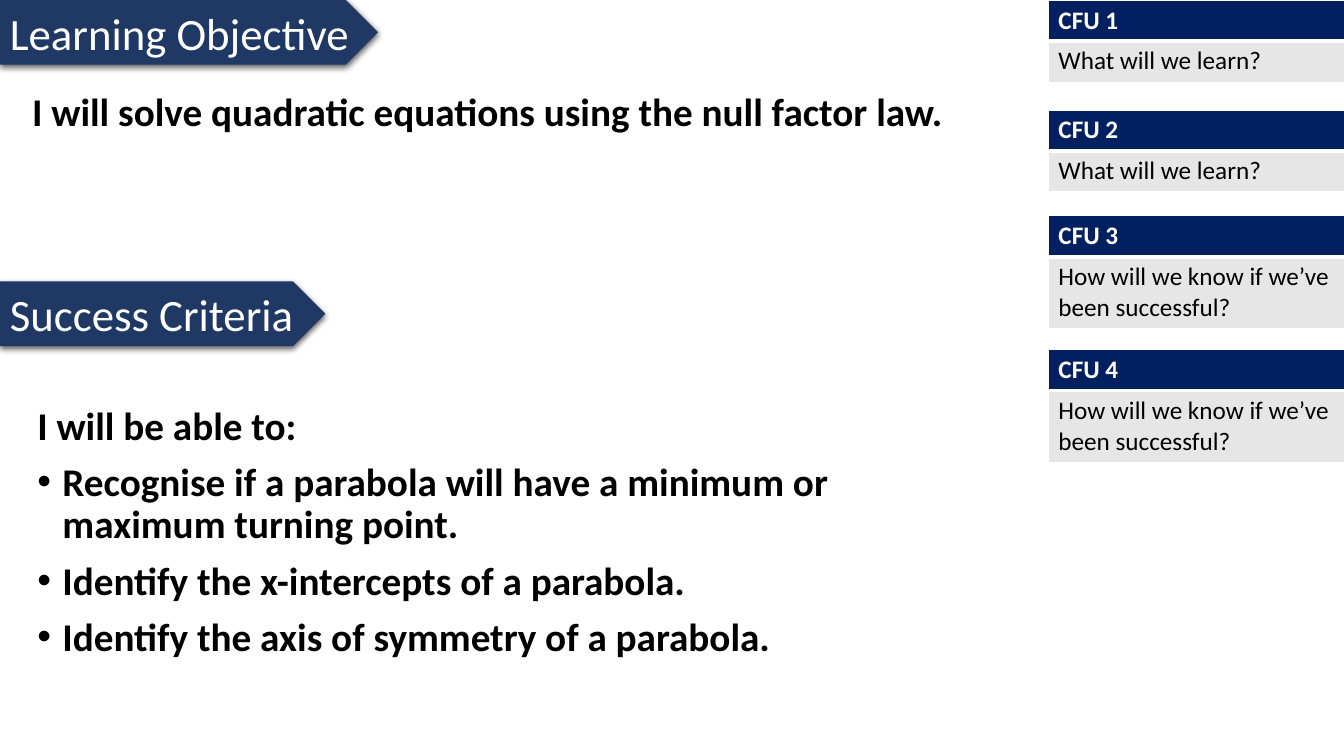
"""Build a lesson slide with its objective, success criteria and CFU questions."""
from dataclasses import dataclass

from lxml import etree
from pptx import Presentation
from pptx import util as u
from pptx.dml.color import RGBColor
from pptx.enum import shapes, text
from pptx.oxml import parse_xml
from pptx.oxml.ns import nsdecls, qn


@dataclass(frozen=True)
class Theme:
    font: str = "Calibri"
    banner: str = "203864"
    header: str = "002060"
    panel: str = "E7E6E6"
    light: str = "FFFFFF"
    dark: str = "000000"
    title_pt: int = 32
    body_pt: int = 28
    cell_pt: int = 18
    thin_pt: int = 1
    thick_pt: int = 3


def write(p, words, *, theme, size, color, bold=False):
    r = p.add_run()
    r.text = words
    r.font.name = theme.font
    r.font.size = u.Pt(size)
    r.font.bold = bold
    r.font.color.rgb = RGBColor.from_string(color)


class LessonSlide:
    def __init__(self, prs, theme):
        self.theme = theme
        self.s = prs.slides.add_slide(prs.slide_layouts[6])

    def banner(self, words, top, width):
        t = self.theme
        sp = self.s.shapes.add_shape(
            shapes.MSO_SHAPE.PENTAGON, 0, u.Cm(top), u.Cm(width), u.Cm(1.63))
        sp.fill.solid()
        sp.fill.fore_color.rgb = RGBColor.from_string(t.banner)
        sp.line.fill.background()
        self.add_shadow(sp)
        tf = sp.text_frame
        tf.word_wrap = True
        tf.vertical_anchor = text.MSO_ANCHOR.MIDDLE
        p = tf.paragraphs[0]
        p.alignment = text.PP_ALIGN.LEFT
        write(p, words, theme=t, size=t.title_pt, color=t.light)

    def add_shadow(self, sp):
        sp.shadow.inherit = False
        effects = sp._element.spPr.find(qn("a:effectLst"))
        effects.append(parse_xml(
            f'<a:outerShdw {nsdecls("a")} blurRad="{u.Pt(4.5)}" dist="{u.Pt(1.5)}" '
            f'dir="5400000" rotWithShape="0"><a:srgbClr val="{self.theme.dark}">'
            '<a:alpha val="63000"/></a:srgbClr></a:outerShdw>'))

    def body(self, intro, bullets, left, top, width, height):
        t = self.theme
        box = self.s.shapes.add_textbox(*map(u.Cm, (left, top, width, height)))
        tf = box.text_frame
        tf.word_wrap = True
        for i, words in enumerate([intro, *bullets]):
            p = tf.add_paragraph() if i else tf.paragraphs[0]
            if i:
                pPr = p._p.get_or_add_pPr()
                pPr.set("marL", str(u.Cm(0.635)))
                pPr.set("indent", str(-u.Cm(0.635)))
                etree.SubElement(pPr, qn("a:buFont")).set("typeface", "Arial")
                etree.SubElement(pPr, qn("a:buChar")).set("char", "•")
                p.space_before = u.Pt(10)
            p.line_spacing = 0.9
            write(p, words, theme=t, size=t.body_pt, color=t.dark, bold=True)

    def question(self, title, words, top, answer_height):
        t = self.theme
        heights = (0.99, answer_height)
        table = self.s.shapes.add_table(
            2, 1, u.Cm(26.42), u.Cm(top), u.Cm(7.46), u.Cm(sum(heights))).table
        table.first_row = table.horz_banding = False
        for row, height in zip(table.rows, heights):
            row.height = u.Cm(height)
        self.cell(table.cell(0, 0), title, t.header, t.light, True, "lnB")
        self.cell(table.cell(1, 0), words, t.panel, t.dark, False, "lnT")

    def cell(self, cell, words, fill, color, bold, thick_edge):
        t = self.theme
        tcPr = cell._tc.get_or_add_tcPr()
        for edge in ("lnL", "lnR", "lnT", "lnB"):
            width = t.thick_pt if edge == thick_edge else t.thin_pt
            tcPr.append(parse_xml(
                f'<a:{edge} {nsdecls("a")} w="{u.Pt(width)}"><a:solidFill>'
                f'<a:srgbClr val="{t.light}"/></a:solidFill></a:{edge}>'))
        cell.fill.solid()
        cell.fill.fore_color.rgb = RGBColor.from_string(fill)
        write(cell.text_frame.paragraphs[0], words, theme=t, size=t.cell_pt,
              color=color, bold=bold)


def main():
    prs = Presentation()
    prs.slide_width, prs.slide_height = u.Cm(33.87), u.Cm(19.05)
    slide = LessonSlide(prs, Theme())
    slide.banner("Learning Objective", 0, 9.53)
    slide.banner("Success Criteria", 7.09, 8.2)

    learn = ("What will we learn?", 1.04)
    success = ("How will we know if we’ve been successful?", 1.8)
    questions = ((0, learn), (2.77, learn), (5.44, success), (8.81, success))
    for number, (top, (words, height)) in enumerate(questions, 1):
        slide.question(f"CFU {number}", words, top, height)

    slide.body("I will solve quadratic equations using the null factor law.", [],
               0.56, 2.21, 24.64, 6.35)
    slide.body("I will be able to:", [
        "Recognise if a parabola will have a minimum or maximum turning point.",
        "Identify the x-intercepts of a parabola.",
        "Identify the axis of symmetry of a parabola.",
    ], 0.69, 10.11, 24.36, 6.93)
    prs.save("out.pptx")


if __name__ == "__main__":
    main()
